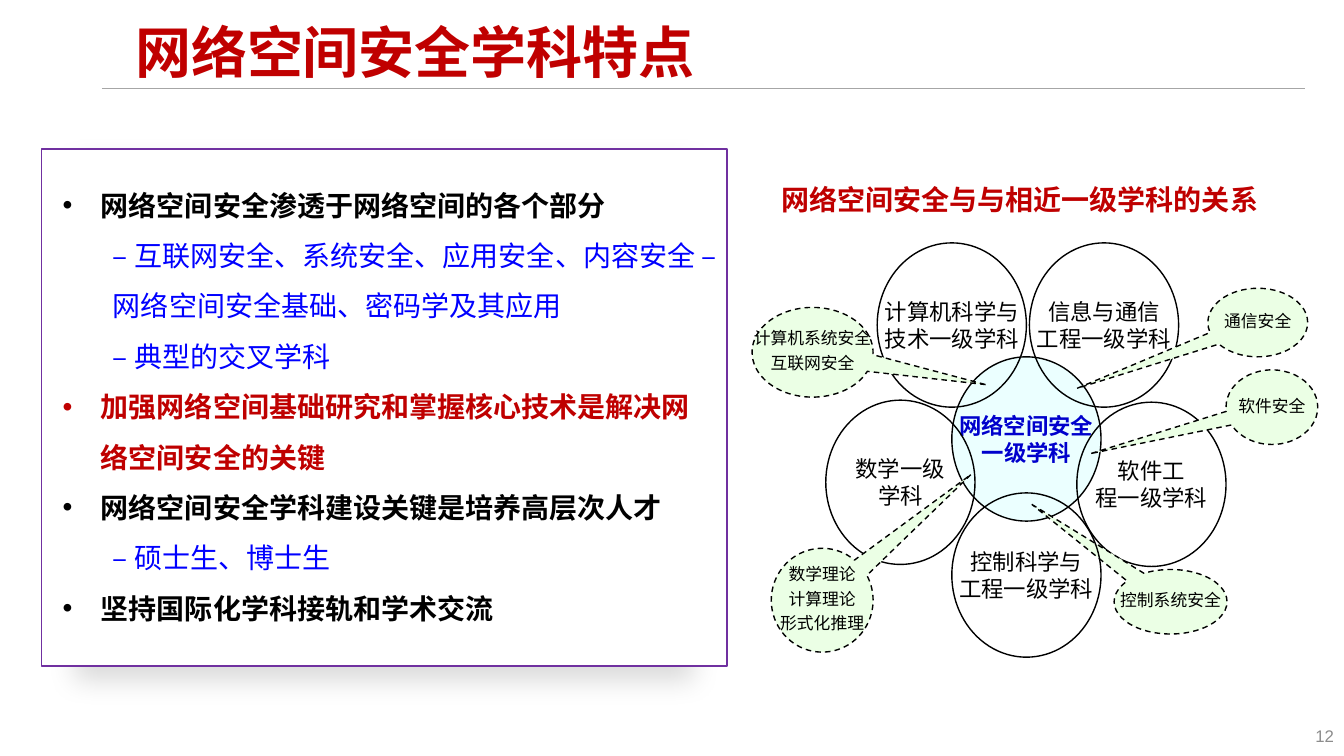
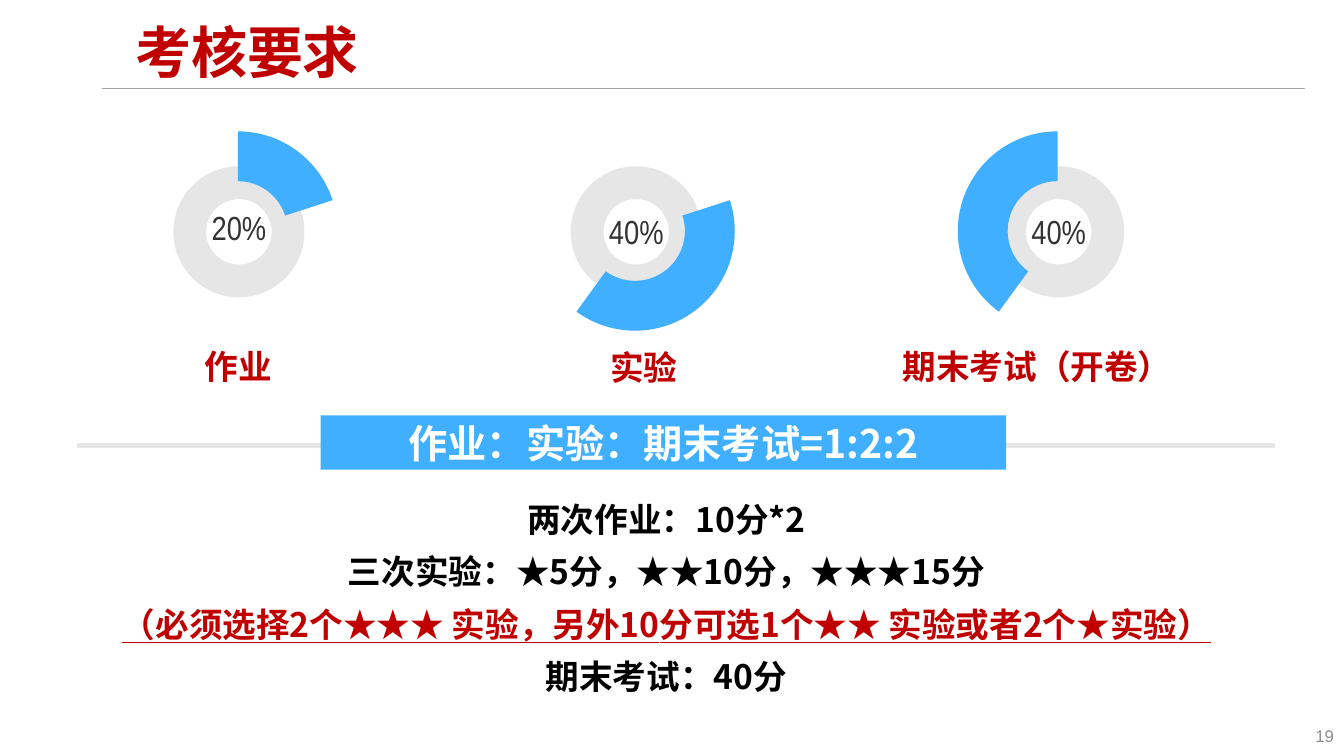
from itertools import cycle

from lxml.etree import SubElement
from pptx import Presentation
from pptx.chart.data import CategoryChartData
from pptx.dml.color import RGBColor
from pptx.enum.chart import XL_CHART_TYPE
from pptx.enum.dml import MSO_LINE
from pptx.enum.shapes import MSO_CONNECTOR, MSO_SHAPE
from pptx.enum.text import MSO_ANCHOR, MSO_AUTO_SIZE, PP_ALIGN
from pptx.oxml import parse_xml
from pptx.oxml.ns import nsdecls, qn
from pptx.util import Inches, Pt

# Shared colours and text formats
INK = {
    "black": "000000", "white": "FFFFFF", "title": "C00000", "red": "BF0000",
    "blue": "0000FF", "navy": "0000CC", "purple": "7030A0", "sky": "40AFFF",
    "aqua": "EBFFFF", "mint": "EBFFE5", "ring": "E7E6E6", "rule": "A6A6A6",
    "page": "8C8C8C", "dark": "333333", "slate": "44546A",
}
HAN = "Noto Sans CJK SC"
MID = {"alignment": PP_ALIGN.CENTER}
HEAD = {"size": Pt(40), "color": "title", "bold": True,
        "alignment": PP_ALIGN.LEFT, "line_spacing": 0.9}
PAGE = {"size": Pt(12), "color": "page", "name": "Arial", "alignment": PP_ALIGN.RIGHT}
ITEM = {"size": Pt(20), "color": "black", "bold": True, "line_spacing": 1.5,
        "space_before": Pt(0), "indent": (0.38, -0.38, "•")}
KEY = ITEM | {"color": "red"}
SUB = ITEM | {"color": "blue", "bold": False, "level": 1, "indent": (0.5, 0, None)}
NOTE = {"size": Pt(20), "color": "red", "bold": True}
FIELD = MID | {"size": Pt(16), "color": "black"}
CORE = FIELD | {"color": "navy", "bold": True}
TOPIC = MID | {"size": Pt(12), "color": "black", "line_spacing": 0.8, "space_before": Pt(6)}
SCORE = MID | {"size": Pt(24), "color": "black", "bold": True, "line_spacing": 1.3,
               "space_before": Pt(0), "indent": (0, 0, None)}
MUST = SCORE | {"color": "title", "underline": True}
LABEL = MID | {"size": Pt(24), "color": "title", "bold": True}
BAND = MID | {"size": Pt(28), "color": "white", "bold": True}
SHARE = MID | {"size": Pt(23.8), "color": "dark", "name": "Arial Narrow"}
PARA = ("alignment", "line_spacing", "space_before", "level")


def write(frame, text, *looks, anchor=MSO_ANCHOR.MIDDLE, wrap=True):
    """Write one paragraph per line, taking the looks in turn."""
    frame.auto_size = MSO_AUTO_SIZE.NONE
    frame.word_wrap = wrap
    frame.vertical_anchor = anchor
    for num, (line, look) in enumerate(zip(text.split("\n"), cycle(looks))):
        para = frame.add_paragraph() if num else frame.paragraphs[0]
        run = para.add_run()
        run.text = line
        look = {"name": HAN} | look
        for key, val in look.items():
            if key == "color":
                run.font.color.rgb = RGBColor.from_string(INK[val])
            elif key == "indent":
                left, first, mark = val
                props = para._p.get_or_add_pPr()
                props.set("marL", str(Inches(left)))
                props.set("indent", str(Inches(first)))
            else:
                setattr(para if key in PARA else run.font, key, val)
        SubElement(run._r.get_or_add_rPr(), qn("a:ea")).set("typeface", look["name"])
        if "indent" in look:
            if mark:
                SubElement(props, qn("a:buFont")).set("typeface", "Arial")
                SubElement(props, qn("a:buChar")).set("char", mark)
            else:
                SubElement(props, qn("a:buNone"))


def draw(slide, kind, box, fill=None, line=None):
    """Add a flat preset shape; box is left, top, width, height in inches."""
    shape = slide.shapes.add_shape(kind, *map(Inches, box))
    shape.shadow.inherit = False
    for part, tint in ((shape.fill, fill), (shape.line.fill, line)):
        if tint:
            part.solid()
            part.fore_color.rgb = RGBColor.from_string(INK[tint])
        else:
            part.background()
    if line:
        shape.line.width = Pt(1)
    return shape


# Shared frame: title, rule, page number
deck = Presentation()
deck.slide_width, deck.slide_height = Inches(13.33), Inches(7.5)
base = deck.slide_layouts[1]
spot = base.placeholders[0]
spot.left, spot.top, spot.width, spot.height = map(Inches, (1.24, 0.15, 11.18, 0.79))

pages = []
for title, num in (("网络空间安全学科特点", "12"), ("考核要求", "19")):
    slide = deck.slides.add_slide(base)
    write(slide.shapes.title.text_frame, title, HEAD)
    foot = slide.shapes.add_textbox(*map(Inches, (10.33, 7.1, 3, 0.4)))
    write(foot.text_frame, num, PAGE)
    pages.append(slide)
first, second = pages

rules = []
for slide, left, right, top, tint, width in (
    (first, 1.01, 12.94, 0.88, "rule", 1),
    (second, 0.76, 12.65, 4.42, "ring", 3),
):
    rule = slide.shapes.add_connector(
        MSO_CONNECTOR.STRAIGHT, *map(Inches, (left, top, right, top)))
    rule.line.color.rgb = RGBColor.from_string(INK[tint])
    rule.line.width = Pt(width)
    SubElement(rule._element.spPr, qn("a:effectLst"))
    rules.append(rule)
base.shapes._spTree.append(rules[0]._element)  # the title rule belongs to the layout

# Slide 1: panel with the list
panel = draw(first, MSO_SHAPE.RECTANGLE, (0.41, 1.48, 6.8, 5.13), "white", "purple")
panel._element.spPr.find(qn("a:effectLst")).append(parse_xml(
    f'<a:outerShdw {nsdecls("a")} blurRad="{Pt(20)}" dist="{Pt(10)}" dir="5400000" '
    'sx="90000" algn="b" rotWithShape="0"><a:srgbClr val="000000">'
    '<a:alpha val="15000"/></a:srgbClr></a:outerShdw>'))
first.shapes._spTree.insert(2, panel._element)

body = first.placeholders[1]
body.left, body.top, body.width, body.height = map(Inches, (0.52, 1.65, 6.69, 4.64))
write(body.text_frame, """网络空间安全渗透于网络空间的各个部分
– 互联网安全、系统安全、应用安全、内容安全 – 网络空间安全基础、密码学及其应用
– 典型的交叉学科
加强网络空间基础研究和掌握核心技术是解决网络空间安全的关键
网络空间安全学科建设关键是培养高层次人才
– 硕士生、博士生
坚持国际化学科接轨和学术交流""",
      ITEM, SUB, SUB, KEY, ITEM, SUB, ITEM, anchor=MSO_ANCHOR.TOP)

# Slide 1: fields and topics, back to front
note = first.shapes.add_textbox(*map(Inches, (7.65, 1.76, 5.6, 0.44)))
write(note.text_frame, "网络空间安全与与相近一级学科的关系", NOTE, anchor=MSO_ANCHOR.TOP)

OVAL, CALL = MSO_SHAPE.OVAL, MSO_SHAPE.OVAL_CALLOUT
SIZE = (1.48, 1.63)
for kind, box, tip, fill, look, text in (
    (OVAL, (9.44, 3.54, *SIZE), (), "aqua", CORE, "网络空间安全\n一级学科"),
    (OVAL, (8.7, 2.41, *SIZE), (), None, FIELD, "计算机科学与\n技术一级学科"),
    (OVAL, (8.19, 3.97, *SIZE), (), None, FIELD, "数学一级\n学科"),
    (OVAL, (10.21, 2.41, *SIZE), (), None, FIELD, "信息与通信\n工程一级学科"),
    (CALL, (7.46, 3.05, 1.2, 0.89), (1.43, 0.36), "mint", TOPIC, "计算机系统安全\n互联网安全"),
    (CALL, (11.98, 2.86, 0.99, 0.68), (-1.81, 0.96), "mint", TOPIC, "通信安全"),
    (CALL, (7.65, 5.44, 1.01, 1.03), (1.46, -1.21), "mint", TOPIC,
     "数学理论\n计算理论\n形式化推理"),
    (OVAL, (10.68, 3.99, *SIZE), (), None, FIELD, "软件工\n程一级学科"),
    (CALL, (11.05, 5.65, 1.12, 0.64), (-1.23, -1.51), "mint", TOPIC, "控制系统安全"),
    (CALL, (12.16, 3.67, 0.91, 0.74), (-1.97, 0.62), "mint", TOPIC, "软件安全"),
    (OVAL, (9.44, 4.89, *SIZE), (), None, FIELD, "控制科学与\n工程一级学科"),
):
    node = draw(first, kind, box, fill, "black")
    for num, val in enumerate(tip):
        node.adjustments[num] = val
    if tip:
        node.line.dash_style = MSO_LINE.DASH
    write(node.text_frame, text, look, wrap=False)

# Slide 2: score list and ratio band
body = second.placeholders[1]
body.left, body.top, body.width, body.height = map(Inches, (0.43, 4.78, 12.36, 2.15))
write(body.text_frame, """两次作业：10分*2
三次实验：★5分，★★10分，★★★15分
（必须选择2个★★★ 实验，另外10分可选1个★★ 实验或者2个★实验）
期末考试：40分""", SCORE, SCORE, MUST, SCORE, anchor=MSO_ANCHOR.TOP)
band = draw(second, MSO_SHAPE.RECTANGLE, (3.18, 4.12, 6.8, 0.54), "sky")
write(band.text_frame, "作业：实验：期末考试=1:2:2", BAND)

# Slide 2: dials, each lighting its own share
SHARES = (20, 40, 40)
data = CategoryChartData()
data.categories = ["1", "2", "3", "4"]
data.add_series("Series 1", (*SHARES, None))
for part, (left, high, name, spot) in enumerate((
    (1.72, 2.01, "作业", (1.93, 3.38, 0.87, 0.5)),
    (5.66, 2.05, "实验", (5.95, 3.39, 0.87, 0.5)),
    (9.85, 2.05, "期末考试（开卷）", (8.84, 3.38, 2.89, 0.5)),
)):
    ring = draw(second, MSO_SHAPE.DONUT, (left, 1.65, 1.3, 1.3), "ring")
    ring.adjustments[0] = 0.25

    box = map(Inches, (left - 1.64, 0.19, 4.59, 3.15))
    chart = second.shapes.add_chart(XL_CHART_TYPE.DOUGHNUT, *box, data).chart
    chart.has_title = chart.has_legend = False
    chart.font.name, chart.font.size = "Arial", Pt(10)
    chart.font.color.rgb = RGBColor.from_string(INK["black"])
    plot = chart.plots[0]
    plot.vary_by_categories = True
    plot.has_data_labels = False
    plot._element.find(qn("c:holeSize")).set("val", "52")
    for num in range(4):
        form = plot.series[0].points[num].format
        form.line.fill.background()
        if num in (part, 3):
            form.fill.solid()
            tint = "sky" if num == part else "slate"
            form.fill.fore_color.rgb = RGBColor.from_string(INK[tint])
        else:
            form.fill.background()

    # Fixed plot area on a clear background
    area = plot._element.getparent()
    for old in area.findall(qn("c:layout")):
        area.remove(old)
    area.insert(0, parse_xml(
        f'<c:layout {nsdecls("c")}><c:manualLayout><c:layoutTarget val="inner"/>'
        '<c:xMode val="edge"/><c:yMode val="edge"/><c:x val="0.281"/>'
        '<c:y val="0.346"/><c:w val="0.431"/><c:h val="0.643"/>'
        '</c:manualLayout></c:layout>'))
    area.getparent().addnext(parse_xml(
        f'<c:spPr {nsdecls("c", "a")}><a:noFill/><a:ln><a:noFill/></a:ln></c:spPr>'))

    for text, look, place in (
        (f"{SHARES[part]}%", SHARE, (left + 0.26, high, 0.78, 0.5)),
        (name, LABEL, spot),
    ):
        label = second.shapes.add_textbox(*map(Inches, place))
        write(label.text_frame, text, look, anchor=MSO_ANCHOR.TOP, wrap=False)

deck.save("out.pptx")
